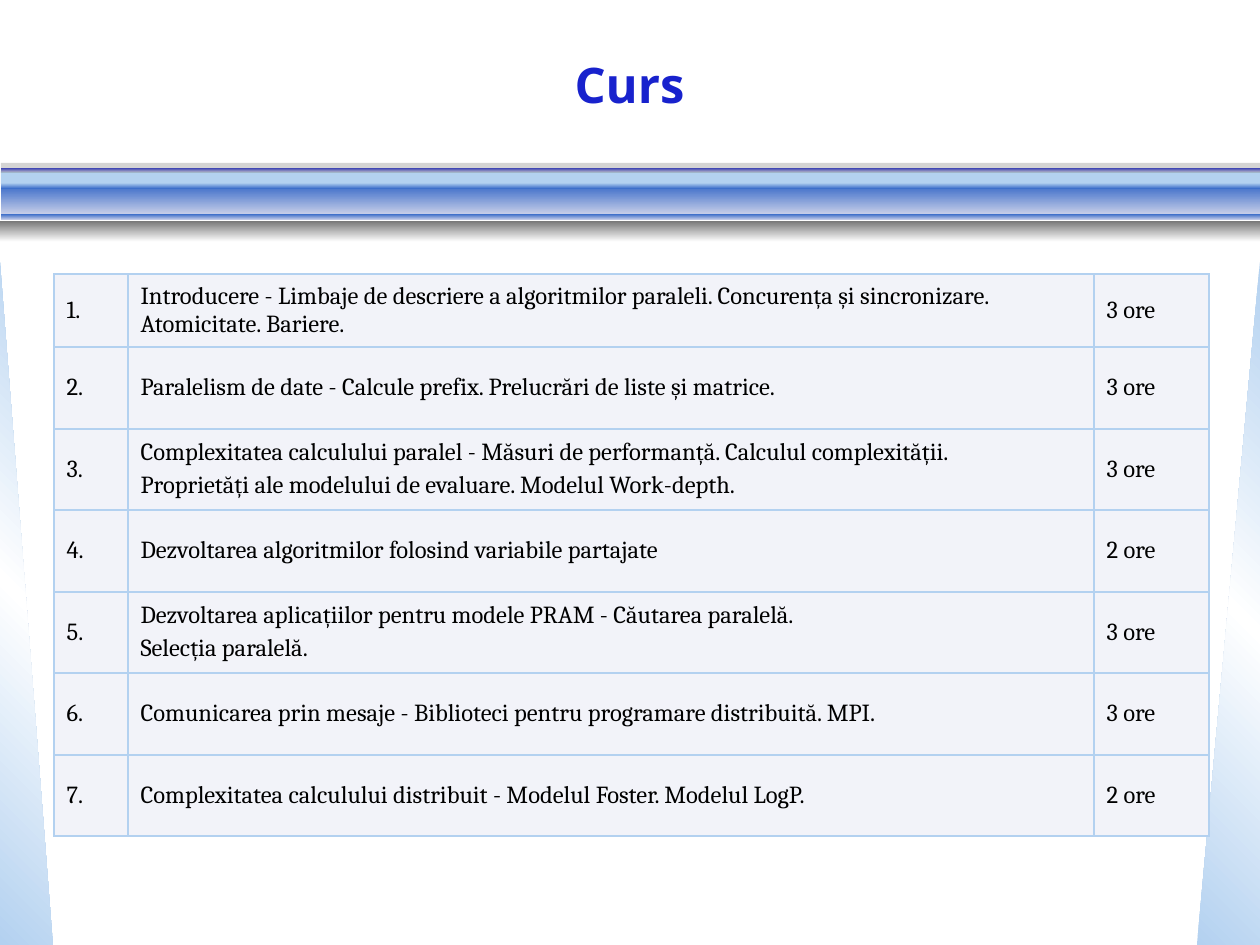
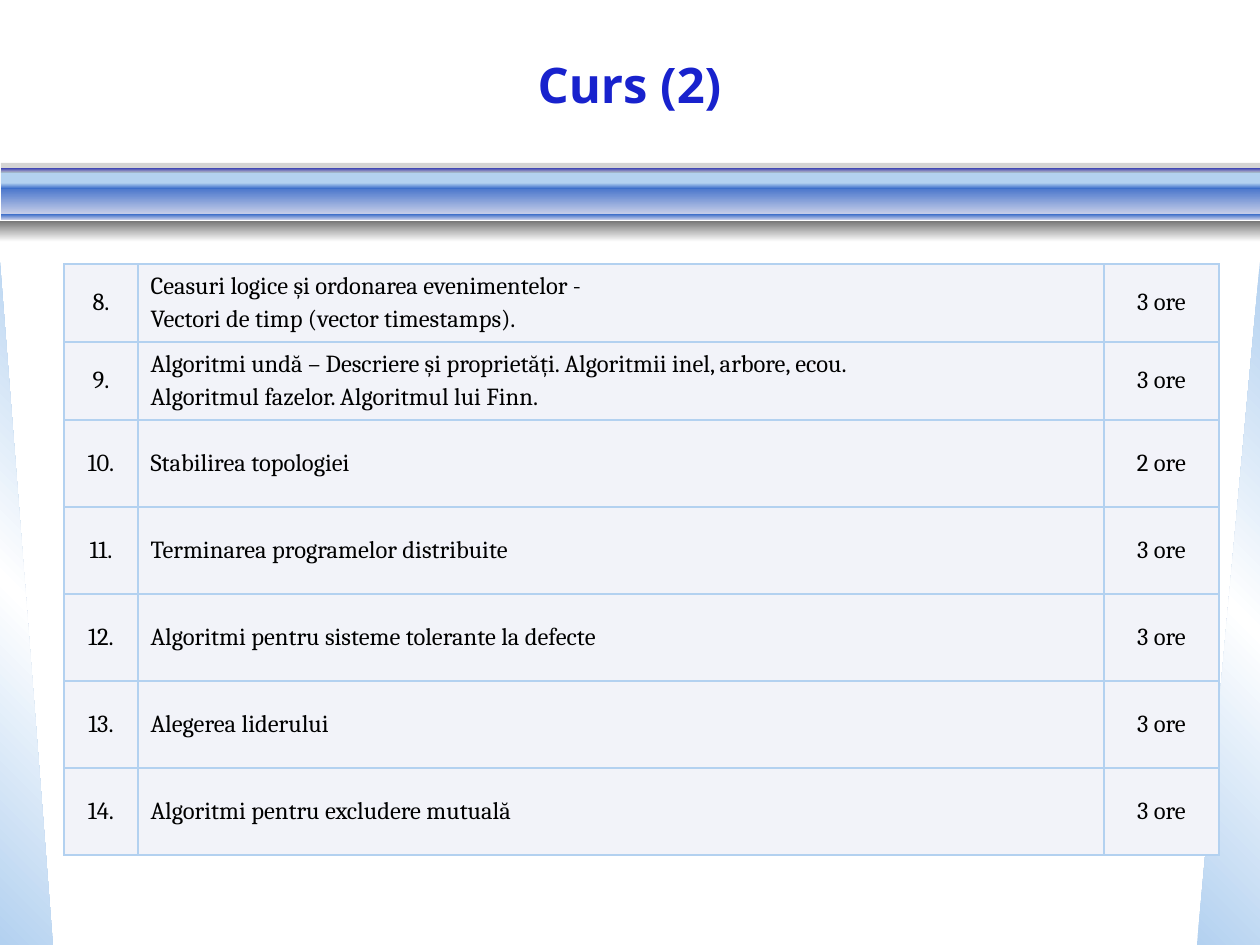
from pptx import Presentation
from pptx.dml.color import RGBColor
from pptx.enum.shapes import MSO_SHAPE as Shape
from pptx.enum.text import MSO_ANCHOR as Anchor, PP_ALIGN as Align
from pptx.oxml import parse_xml
from pptx.oxml.ns import nsdecls
from pptx.util import Pt

EMU_PER_PX = 914400 / 126
SLIDE_WIDTH, SLIDE_HEIGHT = 1260, 945
TITLE_BLUE, SKY, ROYAL, MIST = "1822CD", "B3D1F0", "3568C7", "CAD0E9"
LAVENDER, GREY, WHITE, BLACK, CELL = "BABBE7", "777777", "FFFFFF", "000000", "F2F3F9"
TITLE_FORMAT = {"name": "Open Sans", "size": Pt(28), "bold": True}
CELL_FORMAT = {"name": "Cambria", "size": Pt(14), "bold": False}
COLUMN_WIDTHS = (74, 966, 115)

BANDS = [
    (1, 171, 13, [SKY], 100),
    (1, 184, 31, [ROYAL, MIST], 100),
    (1, 168, 4, [TITLE_BLUE, LAVENDER], 100),
    (1, 214, 6, [ROYAL, MIST], 100),
    (1, 183, 6, [SKY, ROYAL], 100),
    (0, 221, 21, [GREY, WHITE], 100),
    (1, 163, 10, [GREY], 31),
]

COURSES = [
    {
        "title": "Curs", "box": (54, 274), "align": Align.LEFT,
        "heights": [73] + [82, 81] * 3,
        "rows": [
            ("1.", "Introducere - Limbaje de descriere a algoritmilor paraleli. "
                   "Concurența și sincronizare. Atomicitate. Bariere.", "3 ore"),
            ("2.", "Paralelism de date - Calcule prefix. Prelucrări de liste și matrice.", "3 ore"),
            ("3.", "Complexitatea calculului paralel - Măsuri de performanță. Calculul complexității.\n"
                   "Proprietăți ale modelului de evaluare. Modelul Work-depth.", "3 ore"),
            ("4.", "Dezvoltarea algoritmilor folosind variabile partajate", "2 ore"),
            ("5.", "Dezvoltarea aplicațiilor pentru modele PRAM - Căutarea paralelă.\n"
                   "Selecția paralelă.", "3 ore"),
            ("6.", "Comunicarea prin mesaje - Biblioteci pentru programare distribuită. MPI.", "3 ore"),
            ("7.", "Complexitatea calculului distribuit - Modelul Foster. Modelul LogP.", "2 ore"),
        ],
    },
    {
        "title": "Curs (2)", "box": (64, 264), "align": Align.CENTER,
        "heights": [78] * 2 + [87] * 5,
        "rows": [
            ("8.", "Ceasuri logice și ordonarea evenimentelor -\n"
                   "Vectori de timp (vector timestamps).", "3 ore"),
            ("9.", "Algoritmi undă – Descriere și proprietăți. Algoritmii inel, arbore, ecou.\n"
                   "Algoritmul fazelor. Algoritmul lui Finn.", "3 ore"),
            ("10.", "Stabilirea topologiei", "2 ore"),
            ("11.", "Terminarea programelor distribuite", "3 ore"),
            ("12.", "Algoritmi pentru sisteme tolerante la defecte", "3 ore"),
            ("13.", "Alegerea liderului", "3 ore"),
            ("14.", "Algoritmi pentru excludere mutuală", "3 ore"),
        ],
    },
]


def px(*lengths):
    return [round(length * EMU_PER_PX) for length in lengths]


def color(value):
    return RGBColor.from_string(value)


def solid_xml(value, opacity=100):
    return (f'<a:solidFill {nsdecls("a")}><a:srgbClr val="{value}">'
            f'<a:alpha val="{opacity * 1000}"/></a:srgbClr></a:solidFill>')


def gradient_xml(colors, angle):
    step = 100000 // (len(colors) - 1)
    stops = "".join(f'<a:gs pos="{index * step}"><a:srgbClr val="{value}"/></a:gs>'
                    for index, value in enumerate(colors))
    return (f'<a:gradFill {nsdecls("a")} rotWithShape="1"><a:gsLst>{stops}</a:gsLst>'
            f'<a:lin ang="{angle * 60000}" scaled="0"/></a:gradFill>')


def add_filled_shape(slide, kind, box, fill_xml):
    shape = slide.shapes.add_shape(kind, *px(*box))
    shape._element.spPr.append(parse_xml(fill_xml))
    shape.line.fill.background()
    shape.shadow.inherit = False
    return shape


def write_text(frame, text, align, font_format, text_color, space_before=0):
    for index, line in enumerate(text.split("\n")):
        paragraph = frame.add_paragraph() if index else frame.paragraphs[0]
        paragraph.alignment = align
        paragraph.space_before = Pt(space_before)
        run = paragraph.add_run()
        run.text = line
        for name, value in font_format.items():
            setattr(run.font, name, value)
        run.font.color.rgb = color(text_color)


def add_side_wedges(slide, top):
    height = SLIDE_HEIGHT - top
    colors = [SKY, WHITE, SKY]
    add_filled_shape(slide, Shape.RIGHT_TRIANGLE, (0, top, 53, height), gradient_xml(colors, 315))
    right = add_filled_shape(slide, Shape.RIGHT_TRIANGLE, (SLIDE_WIDTH - 63, top, 63, height),
                             gradient_xml(colors, 45))
    right._element.spPr.xfrm.set("flipH", "1")


def add_header_band(slide):
    for left, top, height, colors, opacity in BANDS:
        fill = gradient_xml(colors, 90) if len(colors) > 1 else solid_xml(colors[0], opacity)
        add_filled_shape(slide, Shape.RECTANGLE, (left, top, SLIDE_WIDTH - left, height), fill)


def add_title(slide, text, box):
    frame = slide.shapes.add_textbox(*px(*box)).text_frame
    frame.word_wrap = True
    frame.vertical_anchor = Anchor.MIDDLE
    write_text(frame, text, Align.CENTER, TITLE_FORMAT, TITLE_BLUE)


def style_cell(cell):
    properties = cell._tc.get_or_add_tcPr()
    for side in "LRTB":
        properties.append(parse_xml(
            f'<a:ln{side} {nsdecls("a")} w="12700">{solid_xml(SKY)}</a:ln{side}>'))
    cell.fill.solid()
    cell.fill.fore_color.rgb = color(CELL)
    cell.vertical_anchor = Anchor.MIDDLE


def add_course_table(slide, position, heights, rows, align):
    size = sum(COLUMN_WIDTHS), sum(heights)
    table = slide.shapes.add_table(len(rows), len(COLUMN_WIDTHS), *px(*position, *size)).table
    for column, width in zip(table.columns, px(*COLUMN_WIDTHS)):
        column.width = width
    for row, height, texts in zip(table.rows, px(*heights), rows):
        row.height = height
        for cell, text, cell_align in zip(row.cells, texts, (align, Align.LEFT, align)):
            style_cell(cell)
            write_text(cell.text_frame, text, cell_align, CELL_FORMAT, BLACK, 2.8)


def add_course_slide(presentation, course):
    slide = presentation.slides.add_slide(presentation.slide_layouts[6])
    add_side_wedges(slide, 262)
    add_header_band(slide)
    add_title(slide, course["title"], (15, 10, 1229, 147))
    add_course_table(slide, course["box"], course["heights"], course["rows"], course["align"])


def main():
    presentation = Presentation()
    presentation.slide_width, presentation.slide_height = px(SLIDE_WIDTH, SLIDE_HEIGHT)
    for course in COURSES:
        add_course_slide(presentation, course)
    presentation.save("out.pptx")


if __name__ == "__main__":
    main()
